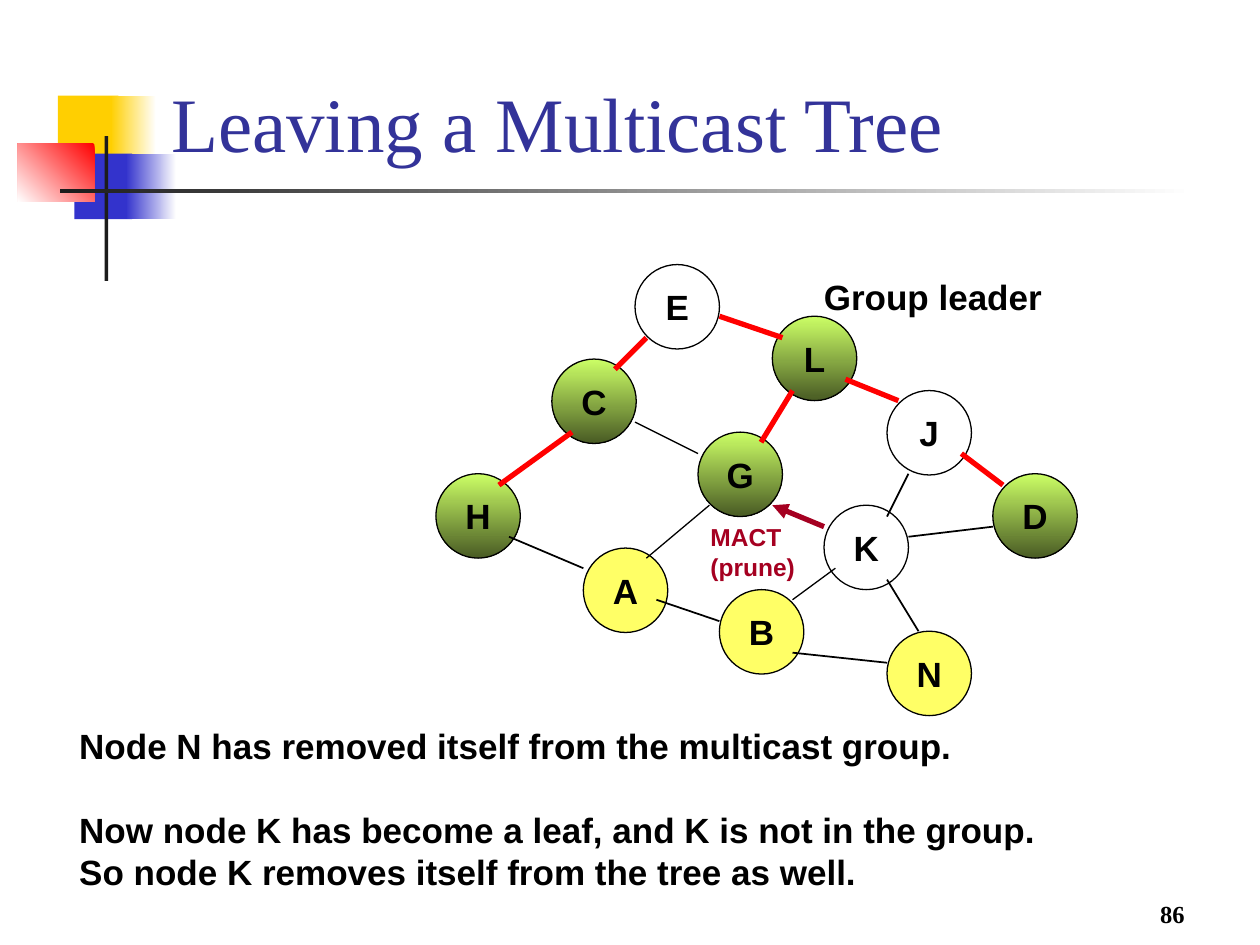
from lxml import etree
from pptx import Presentation
from pptx import util as u
from pptx.dml.color import RGBColor
from pptx.enum import shapes, text
from pptx.oxml.ns import qn

WHITE = RGBColor(0xFF, 0xFF, 0xFF)
BLACK = RGBColor(0, 0, 0)
GOLD = RGBColor(0xFF, 0xCF, 0x01)
BLUE = RGBColor(0x33, 0x33, 0xCC)
RED = RGBColor(0xFF, 0, 0)
CHARCOAL = RGBColor(0x1C, 0x1C, 0x1C)
NAVY = RGBColor(0x33, 0x33, 0x99)
LIME = RGBColor(0xCC, 0xFF, 0x66)
OLIVE = RGBColor(0x49, 0x5B, 0x24)
YELLOW = RGBColor(0xFF, 0xFF, 0x66)
CRIMSON = RGBColor(0xA5, 0, 0x21)

deck = Presentation()
deck.slide_width, deck.slide_height = u.Inches(10), u.Inches(7.5)
slide = deck.slides.add_slide(deck.slide_layouts[6])


def paint(shape, colours, angle=0):
    """Fill with nothing, one colour, or two colours along a counter-clockwise angle."""
    shape.shadow.inherit = False
    if not colours:
        shape.fill.background()
    elif len(colours) == 1:
        shape.fill.solid()
        shape.fill.fore_color.rgb = colours[0]
    else:
        shape.fill.gradient()
        shape.fill.gradient_angle = angle
        for stop, colour, position in zip(shape.fill.gradient_stops, colours, (0, 1)):
            stop.color.rgb = colour
            stop.position = position


def write(frame, lines, colour, frame_format, font_format, paragraph_format):
    """Put lines of text, one paragraph each, into a text frame."""
    for name, value in frame_format.items():
        setattr(frame, name, value)
    for index, line in enumerate(lines):
        paragraph = frame.paragraphs[0] if index == 0 else frame.add_paragraph()
        for name, value in paragraph_format.items():
            setattr(paragraph, name, value)
        run = paragraph.add_run()
        run.text = line
        for name, value in font_format.items():
            setattr(run.font, name, value)
        run.font.color.rgb = colour


# Corner decoration and title rule
decoration = [
    (0.46, 0.76, 0.48, 0.52, [GOLD], 0),
    (0.88, 0.76, 0.36, 0.52, [WHITE, GOLD], 180),
    (0.59, 1.22, 0.46, 0.52, [BLUE], 0),
    (1, 1.22, 0.4, 0.52, [WHITE, BLUE], 180),
    (0.14, 1.14, 0.61, 0.46, [RED, WHITE], 225),
    (0.83, 1.08, 0.03, 1.15, [CHARCOAL], 0),
    (0.48, 1.5, 9, 0.03, [WHITE, CHARCOAL], 180),
]
for *box, colours, angle in decoration:
    block = slide.shapes.add_shape(shapes.MSO_SHAPE.RECTANGLE, *map(u.Inches, box))
    paint(block, colours, angle)
    block.line.fill.background()

# Network nodes
plain, member, leaving = [], [LIME, OLIVE], [YELLOW]
nodes = [
    ("E", 5.04, 2.1, plain), ("L", 6.13, 2.51, member), ("H", 3.46, 3.76, member),
    ("J", 7.04, 3.1, plain), ("D", 7.88, 3.76, member), ("C", 4.38, 2.85, member),
    ("G", 5.54, 3.43, member), ("A", 4.63, 4.35, leaving), ("B", 5.71, 4.68, leaving),
    ("K", 6.54, 4.01, plain), ("N", 7.04, 5.01, leaving),
]
middle = {"vertical_anchor": text.MSO_ANCHOR.MIDDLE, "word_wrap": False}
bold = {"name": "Arial", "size": u.Pt(20), "bold": True}
diameter = u.Inches(0.67)
for letter, left, top, colours in nodes:
    node = slide.shapes.add_shape(
        shapes.MSO_SHAPE.OVAL, u.Inches(left), u.Inches(top), diameter, diameter)
    paint(node, colours, 270)
    node.line.color.rgb = BLACK
    node.line.width = u.Pt(0.75)
    write(node.text_frame, [letter], BLACK, middle, bold,
          {"alignment": text.PP_ALIGN.CENTER})

# Links: tree branches, ordinary links, and the prune message
links = [
    (RED, 3, [(4.54, 3.43, 3.96, 3.85), (5.13, 2.68, 4.88, 2.93),
              (5.71, 2.51, 6.21, 2.68), (6.29, 3.1, 6.04, 3.51),
              (6.71, 3.01, 7.13, 3.18), (7.63, 3.6, 7.96, 3.85)]),
    (BLACK, 0.75, [(5.04, 3.35, 5.54, 3.6), (5.63, 4.01, 5.13, 4.43),
                   (6.63, 4.51, 6.29, 4.76)]),
    (BLACK, 1, [(4.04, 4.26, 4.63, 4.51), (7.88, 4.18, 7.21, 4.26),
                (7.29, 5.01, 7.04, 4.6), (5.71, 4.93, 5.21, 4.76),
                (6.29, 5.18, 7.04, 5.26), (7.21, 3.76, 7.04, 4.1)]),
    (CRIMSON, 3, [(6.54, 4.18, 6.13, 4.01)]),
]
for colour, width, ends in links:
    for points in ends:
        link = slide.shapes.add_connector(
            shapes.MSO_CONNECTOR.STRAIGHT, *map(u.Inches, points))
        link.line.color.rgb = colour
        link.line.width = u.Pt(width)
        if colour == CRIMSON:
            etree.SubElement(link.line._get_or_add_ln(), qn("a:tailEnd"), type="triangle")
        etree.SubElement(link._element.spPr, qn("a:effectLst"))

# Title, labels, explanation and page number
bottom = {"vertical_anchor": text.MSO_ANCHOR.BOTTOM, "word_wrap": True}
explanation = [
    "Node N has removed itself from the multicast group.",
    "Now node K has become a leaf, and K is not in the group.",
    "So node K removes itself from the tree as well.",
]
serif = {"name": "Times New Roman"}
passages = [
    ((1.26, 0.13, 8.52, 1.25), ["Leaving a Multicast Tree"], NAVY, bottom,
     serif | {"size": u.Pt(44)}, {}),
    ((6.44, 2.13, 1.93, 0.44), ["Group leader"], BLACK, middle, bold, {}),
    ((5.54, 4.09, 0.87, 0.57), ["MACT", "(prune)"], CRIMSON, middle,
     bold | {"size": u.Pt(14)}, {"line_spacing": u.Pt(17)}),
    ((0.53, 5.7, 7.79, 1.44), explanation, BLACK, middle, bold,
     {"line_spacing": u.Pt(24)}),
    ((7.42, 6.92, 2.08, 0.5), ["86"], BLACK, bottom,
     serif | {"size": u.Pt(14), "bold": True}, {"alignment": text.PP_ALIGN.RIGHT}),
]
for box, lines, *formats in passages:
    passage = slide.shapes.add_textbox(*map(u.Inches, box))
    write(passage.text_frame, lines, *formats)
    if lines is explanation:
        passage.text_frame.paragraphs[1].space_before = u.Pt(24)

deck.save("out.pptx")
